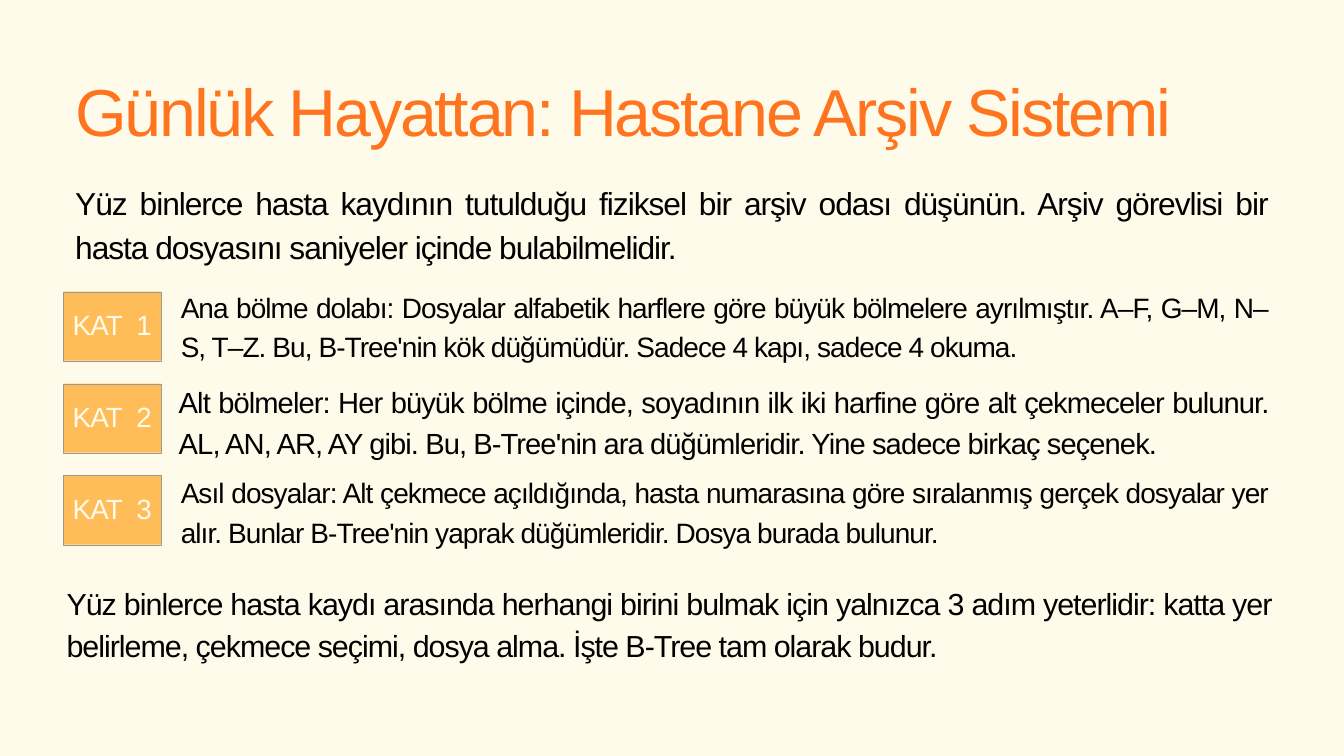
from dataclasses import dataclass

from pptx import Presentation
from pptx.dml.color import RGBColor
from pptx.enum.shapes import MSO_SHAPE as Kind
from pptx.enum.text import MSO_ANCHOR as Anchor, MSO_AUTO_SIZE as Fit, PP_ALIGN as Align
from pptx.util import Pt

CREAM, ORANGE, AMBER, GREY, BLACK = "FFFBEB", "FF751F", "FFBD59", "9D9990", "000000"
FONT = "Arial"


@dataclass
class Box:
    left: float
    top: float
    width: float
    height: float

    def place(self) -> tuple:
        return tuple(Pt(v) for v in (self.left, self.top, self.width, self.height))


@dataclass
class Style:
    size: float
    lead: float
    track: float
    color: str = BLACK
    align: int = Align.JUSTIFY


@dataclass
class Floor:
    label: str
    text: str
    box: Box
    style: Style


def paint(color, value: str) -> None:
    color.rgb = RGBColor.from_string(value)


def add_run(para, text: str, style: Style, track: float) -> None:
    run = para.add_run()
    run.text = text
    for name, value in {"name": FONT, "size": Pt(style.size)}.items():
        setattr(run.font, name, value)
    paint(run.font.color, style.color)
    run._r.get_or_add_rPr().set("spc", str(round(track * 100)))


def fill_text(shape, parts: list, style: Style) -> None:
    """Write (text, tracking) parts as one paragraph."""
    frame = shape.text_frame
    form = {"margin_left": 0, "margin_top": 0, "margin_right": 0, "margin_bottom": 0,
            "word_wrap": True, "auto_size": Fit.NONE, "vertical_anchor": Anchor.TOP}
    for name, value in form.items():
        setattr(frame, name, value)
    para = frame.paragraphs[0]
    para.alignment = style.align
    para.line_spacing = Pt(style.lead)
    for text, track in parts:
        add_run(para, text, style, track)


def add_text(slide, text: str, box: Box, style: Style) -> None:
    fill_text(slide.shapes.add_textbox(*box.place()), [(text, style.track)], style)


def add_tag(slide, label: str, top: float) -> None:
    """Draw a floor tag: amber plate with a thin edge and a centred label."""
    plate = slide.shapes.add_shape(Kind.RECTANGLE, *Box(67.8, top, 105, 74).place())
    plate.shadow.inherit = False
    plate.fill.solid()
    paint(plate.fill.fore_color, AMBER)
    paint(plate.line.color, GREY)
    plate.line.width = Pt(0.1)
    # The gap between word and number is a widened space
    word, number = label.split()
    style = Style(29.8, 26.8, -1, CREAM, Align.CENTER)
    cell = slide.shapes.add_textbox(*Box(71, top + 26, 98.6, 28.8).place())
    fill_text(cell, [(word, -1), (" ", 6.3), (number, -1)], style)


SMALL = Style(30, 42, -1)
FLOORS = [
    Floor("KAT 1", "Ana bölme dolabı: Dosyalar alfabetik harflere göre büyük bölmelere "
          "ayrılmıştır. A–F, G–M, N–S, T–Z. Bu, B-Tree'nin kök düğümüdür. "
          "Sadece 4 kapı, sadece 4 okuma.", Box(193.7, 305.3, 1165, 83.5), SMALL),
    Floor("KAT 2", "Alt bölmeler: Her büyük bölme içinde, soyadının ilk iki harfine göre "
          "alt çekmeceler bulunur. AL, AN, AR, AY gibi. Bu, B-Tree'nin ara düğümleridir. "
          "Yine sadece birkaç seçenek.", Box(191.5, 406.1, 1167.8, 85), Style(31.2, 43.7, -1)),
    Floor("KAT 3", "Asıl dosyalar: Alt çekmece açıldığında, hasta numarasına göre "
          "sıralanmış gerçek dosyalar yer alır. Bunlar B-Tree'nin yaprak düğümleridir. "
          "Dosya burada bulunur.", Box(193.7, 504, 1165, 83.5), SMALL),
]
FIRST, PITCH = 312.5, 98.5


def main() -> None:
    deck = Presentation()
    deck.slide_width, deck.slide_height = Pt(1440), Pt(810)
    slide = deck.slides.add_slide(deck.slide_layouts[5])
    slide.background.fill.solid()
    paint(slide.background.fill.fore_color, CREAM)

    # Title
    title = slide.shapes.title
    title.left, title.top, title.width, title.height = Box(80.6, 96.5, 1191.6, 69).place()
    fill_text(title, [("Günlük Hayattan: Hastane Arşiv Sistemi", -2.3)],
              Style(71.1, 64, -2.3, ORANGE, Align.LEFT))

    # Introduction
    add_text(slide, "Yüz binlerce hasta kaydının tutulduğu fiziksel bir arşiv odası düşünün. "
             "Arşiv görevlisi bir hasta dosyasını saniyeler içinde bulabilmelidir.",
             Box(80.6, 190, 1278, 92), Style(34, 47.6, -1.1))

    # Floors of the archive
    for i, floor in enumerate(FLOORS):
        add_tag(slide, floor.label, FIRST + i * PITCH)
        add_text(slide, floor.text, floor.box, floor.style)

    # Conclusion
    add_text(slide, "Yüz binlerce hasta kaydı arasında herhangi birini bulmak için yalnızca "
             "3 adım yeterlidir: katta yer belirleme, çekmece seçimi, dosya alma. "
             "İşte B-Tree tam olarak budur.", Box(71.3, 620, 1291, 90), Style(32.6, 45.6, -1.1))

    deck.save("out.pptx")


if __name__ == "__main__":
    main()
